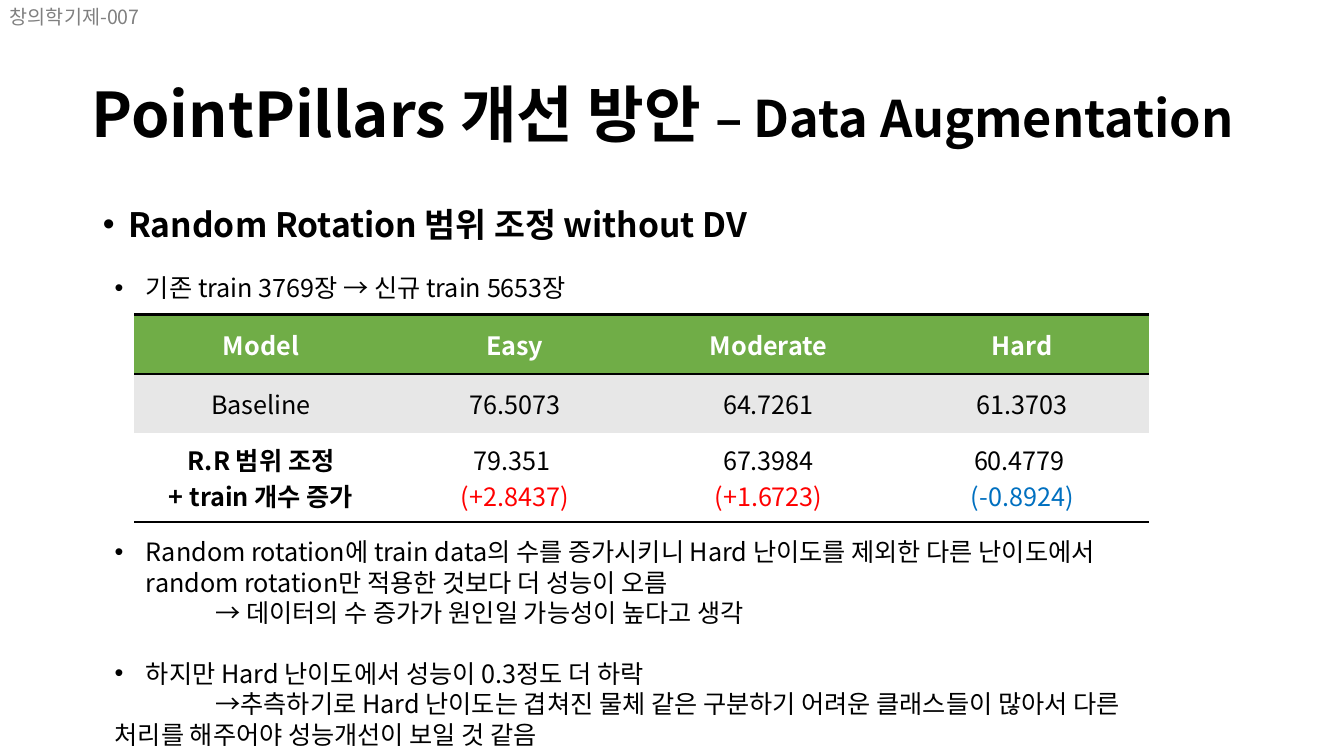
from lxml.etree import SubElement
from pptx import Presentation
from pptx.dml.color import RGBColor
from pptx.enum.text import MSO_ANCHOR, MSO_AUTO_SIZE, PP_ALIGN
from pptx.oxml import parse_xml
from pptx.oxml.ns import qn, nsdecls
from pptx.util import Cm, Pt

THEME = {
    "font": "Noto Sans CJK KR",
    "black": "000000", "gray": "808080", "white": "FFFFFF",
    "green": "70AD47", "band": "E7E7E7", "red": "FF0000", "blue": "0070C0",
    "title": 44, "subtitle": 36, "heading": 24, "text": 18, "label": 14,
    "rule": 2,
}

TITLE = [("PointPillars 개선 방안 ", "title"), ("– Data Augmentation", "subtitle")]
HEADING = "Random Rotation 범위 조정 without DV"
LABEL = "창의학기제-007"
INTRO = [("bullet", "기존 train 3769장 → 신규 train 5653장", 0)]
FINDINGS = [
    ("bullet", "Random rotation에 train data의 수를 증가시키니 Hard 난이도를 제외한 다른 난이도에서 "
               "random rotation만 적용한 것보다 더 성능이 오름", 0),
    ("arrow", "→ 데이터의 수 증가가 원인일 가능성이 높다고 생각", 0),
    ("bullet", "하지만 Hard 난이도에서 성능이 0.3정도 더 하락", 21.7),
    ("arrow", "→추측하기로 Hard 난이도는 겹쳐진 물체 같은 구분하기 어려운 클래스들이 많아서 "
              "다른 처리를 해주어야 성능개선이 보일 것 같음", 0),
]
RESULTS = [
    [["Model"], ["Easy"], ["Moderate"], ["Hard"]],
    [["Baseline"], ["76.5073"], ["64.7261"], ["61.3703"]],
    [["R.R 범위 조정", "+ train 개수 증가"], ["79.351 ", "(+2.8437)"],
     ["67.3984", "(+1.6723)"], ["60.4779 ", "(-0.8924)"]],
]
ROW_HEIGHTS = [1.5, 1.5, 2.23]
ROW_FILLS = ["green", "band", "white"]
ROW_RULES = [("lnT", "lnB"), (), ("lnB",)]
TABLE_BOX = (3.38, 7.92, 25.58, sum(ROW_HEIGHTS))
NO_STYLE = "{2D5ABB26-0587-4C30-8999-92F81FD0307C}"


def apply(target, values):
    for name, value in values.items():
        setattr(target, name, value)


def place(shape, box):
    apply(shape, dict(zip(("left", "top", "width", "height"), map(Cm, box))))


def add_run(paragraph, text, size, color="black", bold=False):
    run = paragraph.add_run()
    run.text = text
    apply(run.font, {"name": THEME["font"], "size": Pt(THEME[size]), "bold": bold})
    run.font.color.rgb = RGBColor.from_string(THEME[color])
    SubElement(run._r.get_or_add_rPr(), qn("a:ea")).set("typeface", THEME["font"])


def format_paragraph(paragraph, line, before=0, margin=0, indent=0, bullet=False):
    apply(paragraph, {"alignment": PP_ALIGN.LEFT, "line_spacing": Pt(line),
                      "space_before": Pt(before), "space_after": Pt(0)})
    properties = paragraph._p.get_or_add_pPr()
    properties.set("marL", str(Cm(margin)))
    properties.set("indent", str(Cm(indent)))
    if bullet:
        SubElement(properties, qn("a:buFont")).set("typeface", "Arial")
        SubElement(properties, qn("a:buChar")).set("char", "•")


def add_text_box(slide, box):
    shape = slide.shapes.add_textbox(*map(Cm, box))
    apply(shape.text_frame, {"word_wrap": True,
                             "auto_size": MSO_AUTO_SIZE.SHAPE_TO_FIT_TEXT})
    return shape.text_frame


def next_paragraph(frame, index):
    return frame.add_paragraph() if index else frame.paragraphs[0]


def add_notes_list(slide, box, entries):
    frame = add_text_box(slide, box)
    for index, (kind, text, before) in enumerate(entries):
        paragraph = next_paragraph(frame, index)
        margin, indent = (0.79, -0.79) if kind == "bullet" else (0, 2.54)
        format_paragraph(paragraph, 21.7, before, margin, indent, kind == "bullet")
        add_run(paragraph, text, "text")


def add_rule(cell, side):
    cell._tc.get_or_add_tcPr().insert(0, parse_xml(
        f'<a:{side} {nsdecls("a")} w="{Pt(THEME["rule"])}"><a:solidFill>'
        f'<a:srgbClr val="{THEME["black"]}"/></a:solidFill></a:{side}>'))


def text_color(row, text):
    if row == 0:
        return "white"
    return {"(+": "red", "(-": "blue"}.get(text[:2], "black")


def add_results(slide):
    columns = len(RESULTS[0])
    frame = slide.shapes.add_table(len(RESULTS), columns, *map(Cm, TABLE_BOX))
    table = frame.table
    apply(table, {"first_row": False, "horz_banding": False})
    table._tbl.tblPr.find(qn("a:tableStyleId")).text = NO_STYLE
    for column in table.columns:
        column.width = Cm(TABLE_BOX[2] / columns)
    for row, values in enumerate(RESULTS):
        table.rows[row].height = Cm(ROW_HEIGHTS[row])
        for column, lines in enumerate(values):
            cell = table.cell(row, column)
            cell.vertical_anchor = MSO_ANCHOR.MIDDLE
            cell.fill.solid()
            cell.fill.fore_color.rgb = RGBColor.from_string(THEME[ROW_FILLS[row]])
            for side in reversed(ROW_RULES[row]):
                add_rule(cell, side)
            bold = row == 0 or (row == 2 and column == 0)
            for index, text in enumerate(lines):
                paragraph = next_paragraph(cell.text_frame, index)
                paragraph.alignment = PP_ALIGN.CENTER
                add_run(paragraph, text, "text", text_color(row, text), bold)


def main():
    presentation = Presentation()
    apply(presentation, {"slide_width": Cm(33.87), "slide_height": Cm(19.05)})
    slide = presentation.slides.add_slide(presentation.slide_layouts[1])

    title, body = slide.shapes.title, slide.placeholders[1]
    place(title, (2.06, 0.99, 30.68, 3.68))
    place(body, (2.34, 5.08, 29.21, 12.09))
    for shape, anchor in ((title, MSO_ANCHOR.MIDDLE), (body, MSO_ANCHOR.TOP)):
        apply(shape.text_frame, {"auto_size": MSO_AUTO_SIZE.NONE, "word_wrap": True,
                                 "vertical_anchor": anchor})

    paragraph = title.text_frame.paragraphs[0]
    format_paragraph(paragraph, 53)
    for text, size in TITLE:
        add_run(paragraph, text, size, bold=True)

    paragraph = body.text_frame.paragraphs[0]
    format_paragraph(paragraph, 27, 10, 0.64, -0.64, True)
    add_run(paragraph, HEADING, "heading", bold=True)

    paragraph = add_text_box(slide, (0, 0, 4.34, 0.86)).paragraphs[0]
    format_paragraph(paragraph, 17)
    add_run(paragraph, LABEL, "label", "gray")

    add_results(slide)
    add_notes_list(slide, (2.64, 13.39, 27.05, 5.64), FINDINGS)
    add_notes_list(slide, (2.64, 6.73, 27.05, 1.02), INTRO)
    presentation.save("out.pptx")


if __name__ == "__main__":
    main()
